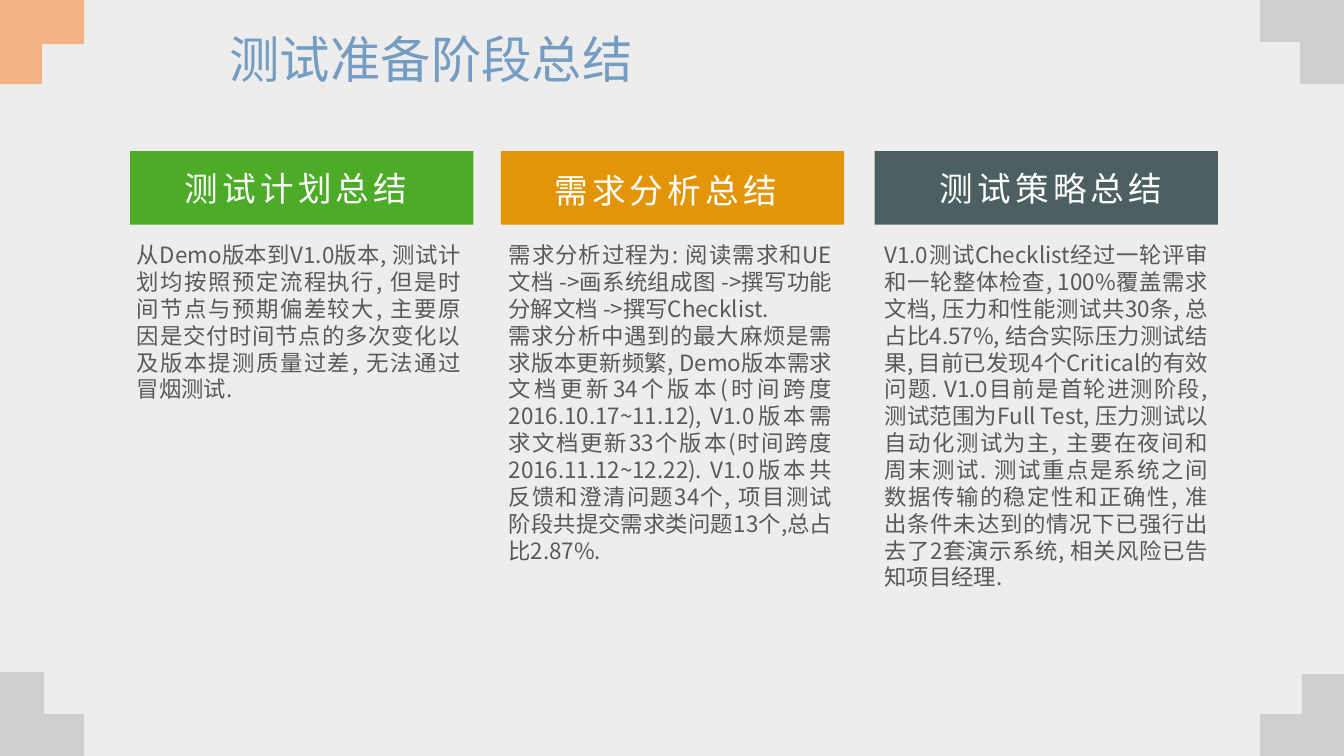
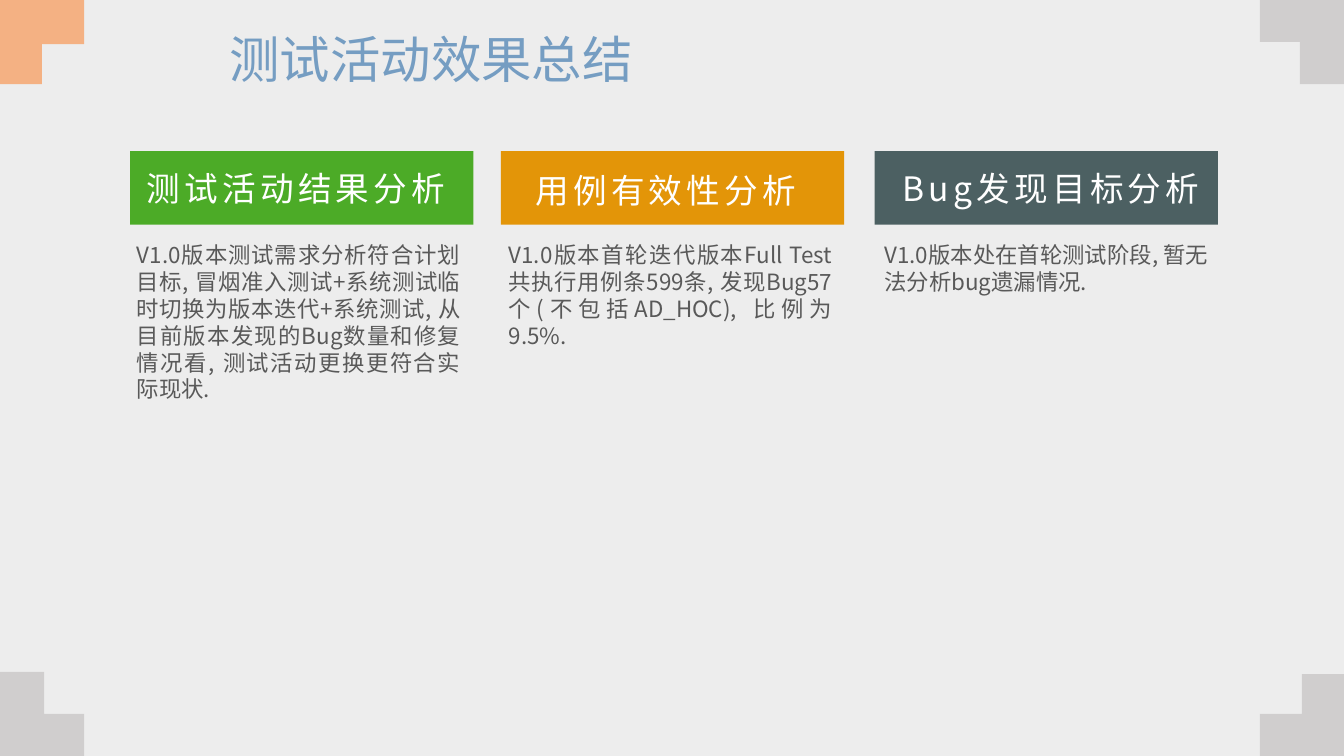
from dataclasses import dataclass

from lxml.etree import SubElement
from pptx import Presentation
from pptx.dml.color import RGBColor
from pptx.enum.shapes import MSO_SHAPE as Shape
from pptx.enum.text import MSO_ANCHOR as Anchor, MSO_AUTO_SIZE as AutoSize, PP_ALIGN as Align
from pptx.oxml.ns import qn
from pptx.util import Emu, Pt

EMU_PER_PX = 9525
WIDTH, HEIGHT = 1280, 720
FONT = "Noto Sans CJK SC"

BACKGROUND = RGBColor(0xED, 0xED, 0xED)
GREY = RGBColor(0xD0, 0xCE, 0xCE)
PEACH = RGBColor(0xF4, 0xB1, 0x83)
GREEN = RGBColor(0x4C, 0xAB, 0x27)
ORANGE = RGBColor(0xE3, 0x95, 0x08)
SLATE = RGBColor(0x4C, 0x60, 0x62)
TITLE_BLUE = RGBColor(0x75, 0x9D, 0xC2)
BODY_GREY = RGBColor(0x59, 0x59, 0x59)
WHITE = RGBColor(0xFF, 0xFF, 0xFF)

CORNER_SIZE = 80
COLUMN_WIDTH = 327
BAND_TOP, BAND_HEIGHT = 144, 70
HEADING_WIDTH, HEADING_HEIGHT = 310, 48
BODY_TOP, LINE_HEIGHT, INSETS = 225, 26, 10


@dataclass(frozen=True)
class Corner:
    x: int
    y: int
    right: int
    down: int
    upright: int
    bar: int
    color: RGBColor


@dataclass(frozen=True)
class Column:
    band_left: int
    body_left: int
    heading_center: int
    heading_top: int
    color: RGBColor


@dataclass(frozen=True)
class Summary:
    heading: str
    lines: int
    paragraphs: tuple[str, ...]


@dataclass(frozen=True)
class Page:
    title: str
    summaries: tuple[Summary, ...]


CORNERS = (
    Corner(0, HEIGHT, 1, -1, 42, 40, GREY),
    Corner(0, 0, 1, 1, 40, 42, PEACH),
    Corner(WIDTH, 0, -1, 1, 42, 40, GREY),
    Corner(WIDTH, HEIGHT + 2, -1, -1, 40, 42, GREY),
)

COLUMNS = (
    Column(124, 121, 282, 155, GREEN),
    Column(477, 475, 634, 157, ORANGE),
    Column(833, 833, 1001, 155, SLATE),
)

PAGES = (
    Page("测试准备阶段总结", (
        Summary("测试计划总结", 6, (
            "从Demo版本到V1.0版本, 测试计划均按照预定流程执行, 但是时间节点与预期偏差较大, "
            "主要原因是交付时间节点的多次变化以及版本提测质量过差, 无法通过冒烟测试.",
        )),
        Summary("需求分析总结", 12, (
            "需求分析过程为: 阅读需求和UE文档 ->画系统组成图 ->撰写功能分解文档 ->撰写Checklist.",
            "需求分析中遇到的最大麻烦是需求版本更新频繁, Demo版本需求文档更新34个版本"
            "(时间跨度2016.10.17~11.12), V1.0版本需求文档更新33个版本"
            "(时间跨度2016.11.12~12.22). V1.0版本共反馈和澄清问题34个, "
            "项目测试阶段共提交需求类问题13个,总占比2.87%.",
        )),
        Summary("测试策略总结", 13, (
            "V1.0测试Checklist经过一轮评审和一轮整体检查, 100%覆盖需求文档, "
            "压力和性能测试共30条, 总占比4.57%, 结合实际压力测试结果, "
            "目前已发现4个Critical的有效问题. V1.0目前是首轮进测阶段, "
            "测试范围为Full Test, 压力测试以自动化测试为主, 主要在夜间和周末测试. "
            "测试重点是系统之间数据传输的稳定性和正确性, "
            "准出条件未达到的情况下已强行出去了2套演示系统, 相关风险已告知项目经理.",
        )),
    )),
    Page("测试活动效果总结", (
        Summary("测试活动结果分析", 6, (
            "V1.0版本测试需求分析符合计划目标, 冒烟准入测试+系统测试临时切换为版本迭代+系统测试, "
            "从目前版本发现的Bug数量和修复情况看, 测试活动更换更符合实际现状.",
        )),
        Summary("用例有效性分析", 4, (
            "V1.0版本首轮迭代版本Full Test共执行用例条599条, "
            "发现Bug57个(不包括AD_HOC), 比例为9.5%.",
        )),
        Summary("Bug发现目标分析", 2, (
            "V1.0版本处在首轮测试阶段, 暂无法分析bug遗漏情况.",
        )),
    )),
)


def px(length: int) -> Emu:
    return Emu(length * EMU_PER_PX)


def box(left: int, top: int, width: int, height: int) -> tuple[Emu, ...]:
    return px(left), px(top), px(width), px(height)


def paint(shape, color: RGBColor) -> None:
    shape.shadow.inherit = False
    shape.fill.solid()
    shape.fill.fore_color.rgb = color
    shape.line.fill.background()


def style(paragraph, size: int, color: RGBColor, align: Align, spacing: int = 0) -> None:
    paragraph.alignment = align
    font = paragraph.font
    font.name, font.size = FONT, Pt(size)
    font.color.rgb = color
    defaults = paragraph._p.pPr.find(qn("a:defRPr"))
    SubElement(defaults, qn("a:ea")).set("typeface", FONT)
    if spacing:
        defaults.set("spc", str(spacing * 100))


def add_corners(slide, master) -> None:
    for number, corner in enumerate(CORNERS, start=101):
        steps = (
            (CORNER_SIZE, 0), (CORNER_SIZE, corner.bar), (corner.upright, corner.bar),
            (corner.upright, CORNER_SIZE), (0, CORNER_SIZE),
        )
        outline = slide.shapes.build_freeform(corner.x, corner.y, scale=EMU_PER_PX)
        outline.add_line_segments(
            [(corner.x + corner.right * x, corner.y + corner.down * y) for x, y in steps]
        )
        piece = outline.convert_to_shape()
        paint(piece, corner.color)
        piece.element.nvSpPr.cNvPr.set("id", str(number))
        master.shapes.element.append(piece.element)


def add_title(slide, text: str) -> None:
    title = slide.shapes.title
    title.left, title.top, title.width, title.height = box(209, 27, 862, 64)
    frame = title.text_frame
    frame.text = text
    frame.auto_size = AutoSize.NONE
    frame.vertical_anchor = Anchor.MIDDLE
    frame.paragraphs[0].line_spacing = 0.9
    style(frame.paragraphs[0], 36, TITLE_BLUE, Align.LEFT)


def add_column(slide, column: Column, summary: Summary) -> None:
    band = slide.shapes.add_shape(
        Shape.RECTANGLE, *box(column.band_left, BAND_TOP, COLUMN_WIDTH, BAND_HEIGHT)
    )
    paint(band, column.color)

    heading_left = column.heading_center - HEADING_WIDTH // 2
    heading = slide.shapes.add_textbox(
        *box(heading_left, column.heading_top, HEADING_WIDTH, HEADING_HEIGHT)
    ).text_frame
    heading.text = summary.heading
    heading.word_wrap = False
    heading.auto_size = AutoSize.SHAPE_TO_FIT_TEXT
    style(heading.paragraphs[0], 24, WHITE, Align.CENTER, spacing=3)

    body_height = INSETS + LINE_HEIGHT * summary.lines
    body = slide.shapes.add_textbox(
        *box(column.body_left, BODY_TOP, COLUMN_WIDTH, body_height)
    ).text_frame
    body.text = "\n".join(summary.paragraphs)
    body.word_wrap = True
    body.auto_size = AutoSize.SHAPE_TO_FIT_TEXT
    for paragraph in body.paragraphs:
        style(paragraph, 16, BODY_GREY, Align.JUSTIFY)


def main() -> None:
    deck = Presentation()
    deck.slide_width, deck.slide_height = px(WIDTH), px(HEIGHT)
    master = deck.slide_master
    master.background.fill.solid()
    master.background.fill.fore_color.rgb = BACKGROUND
    title_only = deck.slide_layouts.get_by_name("Title Only")

    for page in PAGES:
        slide = deck.slides.add_slide(title_only)
        add_title(slide, page.title)
        for column, summary in zip(COLUMNS, page.summaries):
            add_column(slide, column, summary)

    add_corners(deck.slides[0], master)
    deck.save("out.pptx")


if __name__ == "__main__":
    main()
